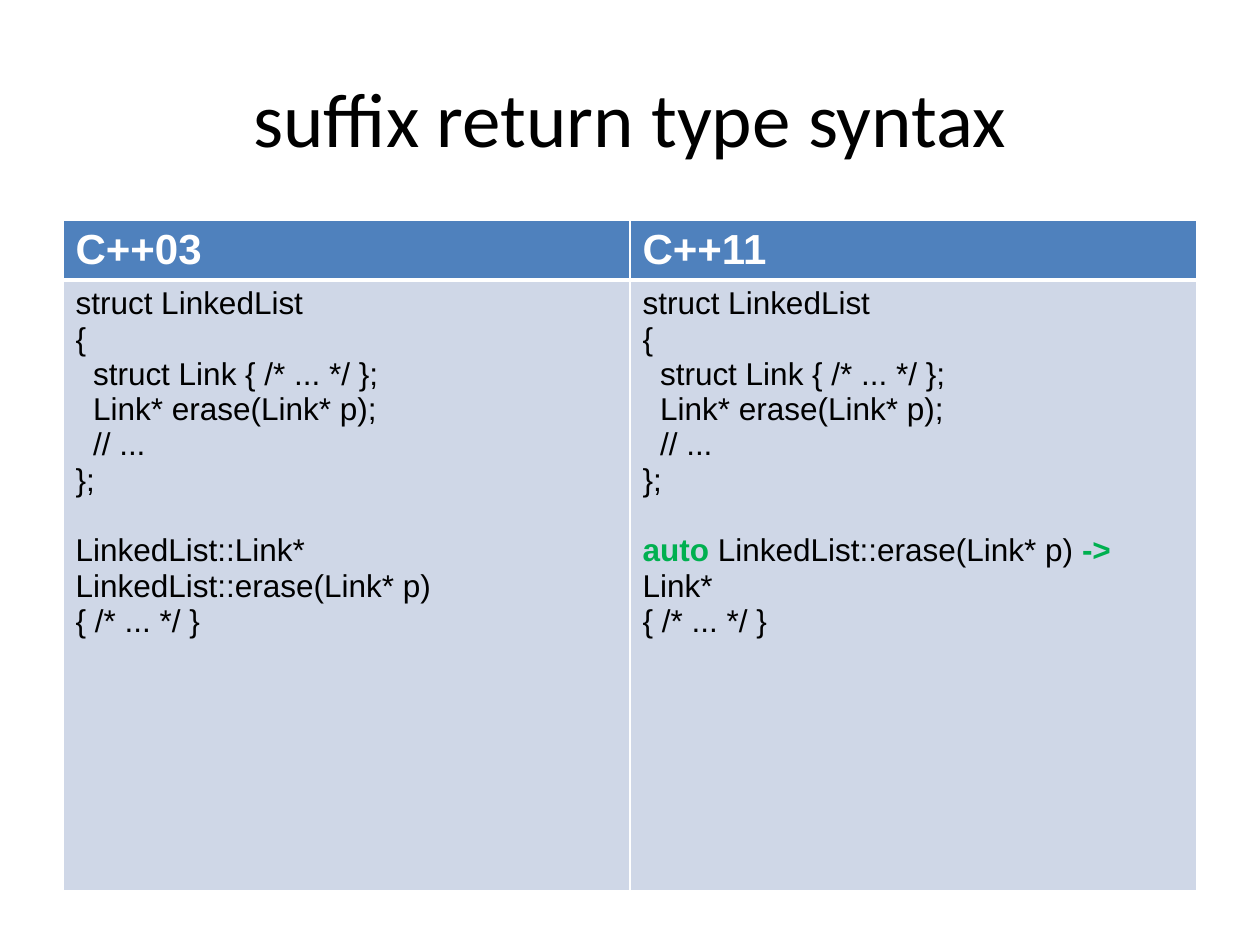
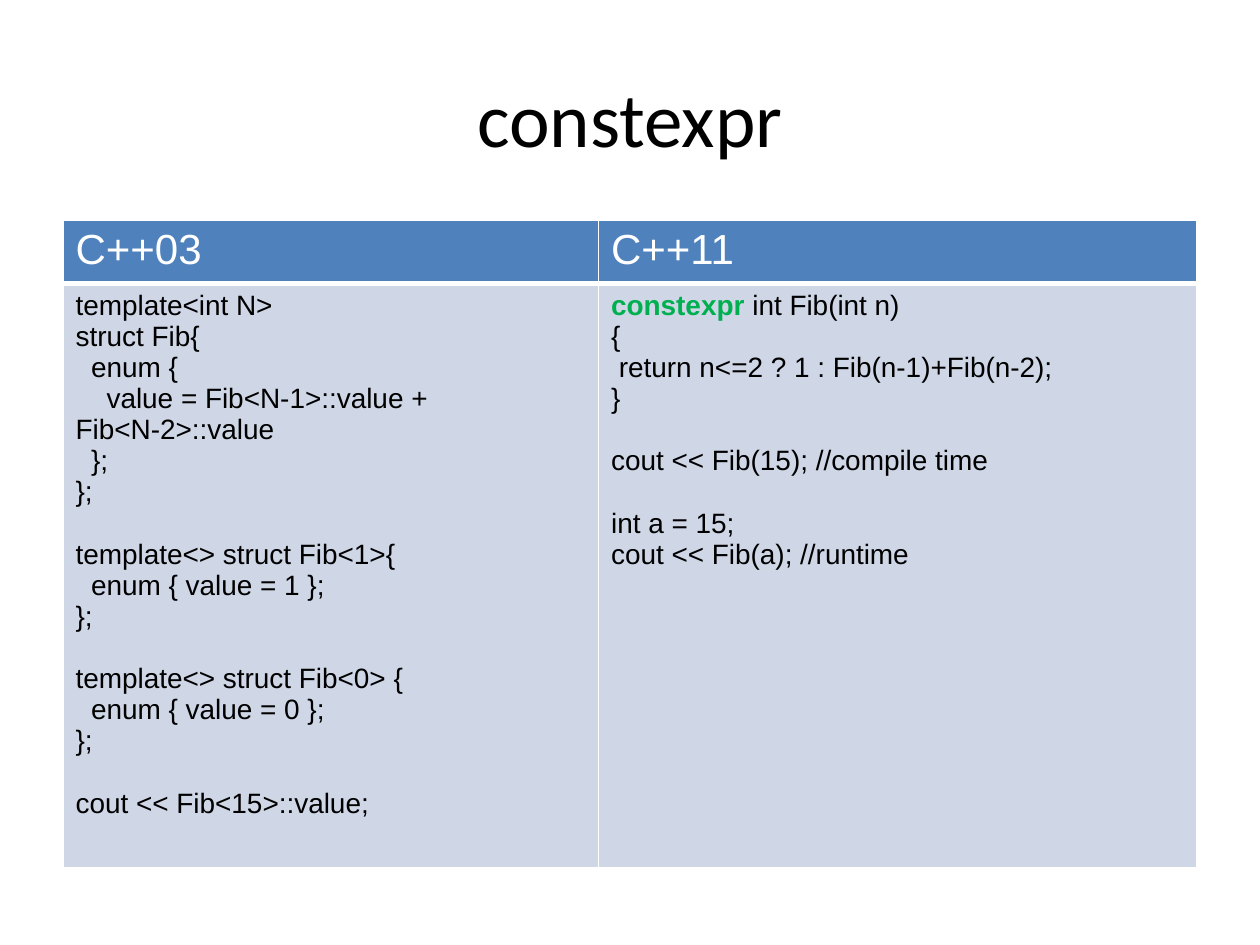
import pptx
import pptx.dml.color
import pptx.enum.text
import pptx.oxml
import pptx.oxml.ns
import pptx.util
from pptx.util import Inches

WHITE, BLACK, GREEN = "FFFFFF", "000000", "00B050"
BLUE, PALE = "4F81BD", "CFD7E7"
HEADS = ("C++03", "C++11")
LEADING = 1.12  # height of a line relative to its text size

LIST_OLD = """struct LinkedList
{
  struct Link { /* ... */ };
  Link* erase(Link* p);
  // ...
};

LinkedList::Link* LinkedList::erase(Link* p)
{ /* ... */ }"""

LIST_NEW = """struct LinkedList
{
  struct Link { /* ... */ };
  Link* erase(Link* p);
  // ...
};

`auto` LinkedList::erase(Link* p) `-> `Link*
{ /* ... */ }"""

FIB_OLD = """template<int N>
struct Fib{
  enum {
    value = Fib<N-1>::value + Fib<N-2>::value
  };
};

template<> struct Fib<1>{
  enum { value = 1 };
};

template<> struct Fib<0> {
  enum { value = 0 };
};

cout << Fib<15>::value;"""

FIB_NEW = """`constexpr `int Fib(int n)
{
 return n<=2 ? 1 : Fib(n-1)+Fib(n-2);
}

cout << Fib(15); //compile time

int a = 15;
cout << Fib(a); //runtime"""


def paint(target, color):
    target.rgb = pptx.dml.color.RGBColor.from_string(color)


class Deck:
    def __init__(self):
        self.show = pptx.Presentation()
        self.show.slide_width = Inches(10)
        self.show.slide_height = Inches(7.5)
        self.slide = None

    def style(self, font, color, size, **extra):
        values = {"size": pptx.util.Pt(size), "name": "Arial", **extra}
        for key, value in values.items():
            setattr(font, key, value)
        paint(font.color, color)

    # Slide with a centred title
    def page(self, text):
        self.slide = self.show.slides.add_slide(self.show.slide_layouts[5])
        title = self.slide.shapes.title
        place = {"left": 0.5, "top": 0.3, "width": 9, "height": 1.25}
        for key, value in place.items():
            setattr(title, key, Inches(value))
        frame = title.text_frame
        frame.text = text
        frame.vertical_anchor = pptx.enum.text.MSO_ANCHOR.MIDDLE
        line = frame.paragraphs[0]
        line.alignment = pptx.enum.text.PP_ALIGN.CENTER
        self.style(line.runs[0].font, BLACK, 44, name="Calibri")

    # White rules around a cell
    def edges(self, cell, top, bottom):
        props = cell._tc.get_or_add_tcPr()
        for side, width in (("L", 1), ("R", 1), ("T", top), ("B", bottom)):
            props.append(pptx.oxml.parse_xml(
                f'<a:ln{side} {pptx.oxml.ns.nsdecls("a")} w="{pptx.util.Pt(width)}">'
                f'<a:solidFill><a:srgbClr val="{WHITE}"/></a:solidFill>'
                f'</a:ln{side}>'))

    # Code lines: backticks mark new keywords, an empty line becomes a gap
    def code(self, frame, text, color, size, bold=False):
        fresh, gap = True, False
        for row in text.split("\n"):
            if not row:
                gap = True
                continue
            line = frame.paragraphs[0] if fresh else frame.add_paragraph()
            if gap:
                line.space_before = pptx.util.Pt(round(size * LEADING, 1))
            fresh, gap = False, False
            for index, part in enumerate(row.split("`")):
                if part:
                    key = index % 2 == 1
                    run = line.add_run()
                    run.text = part
                    self.style(run.font, GREEN if key else color, size,
                               bold=key or bold)

    # Table that sets the two standards side by side
    def compare(self, codes, widths, heights, size, bold):
        table = self.slide.shapes.add_table(
            2, 2, Inches(0.5), Inches(1.75),
            Inches(sum(widths)), Inches(sum(heights))).table
        table.horz_banding = False
        for column, width in zip(table.columns, widths):
            column.width = Inches(width)
        rows = ((HEADS, BLUE, WHITE, 24, bold, 1, 3),
                (codes, PALE, BLACK, size, False, 3, 1))
        for r, (texts, fill, color, points, heavy, top, bottom) in enumerate(rows):
            table.rows[r].height = Inches(heights[r])
            for c, text in enumerate(texts):
                cell = table.cell(r, c)
                self.edges(cell, top, bottom)
                cell.fill.solid()
                paint(cell.fill.fore_color, fill)
                self.code(cell.text_frame, text, color, points, heavy)


def main():
    deck = Deck()

    # Suffix return type
    deck.page("suffix return type syntax")
    deck.compare((LIST_OLD, LIST_NEW), (4.5, 4.5), (0.42, 4.85), 18, True)

    # Constant expressions
    deck.page("constexpr")
    deck.compare((FIB_OLD, FIB_NEW), (4.25, 4.75), (0.5, 4.64), 16, False)

    deck.show.save("out.pptx")


if __name__ == "__main__":
    main()
